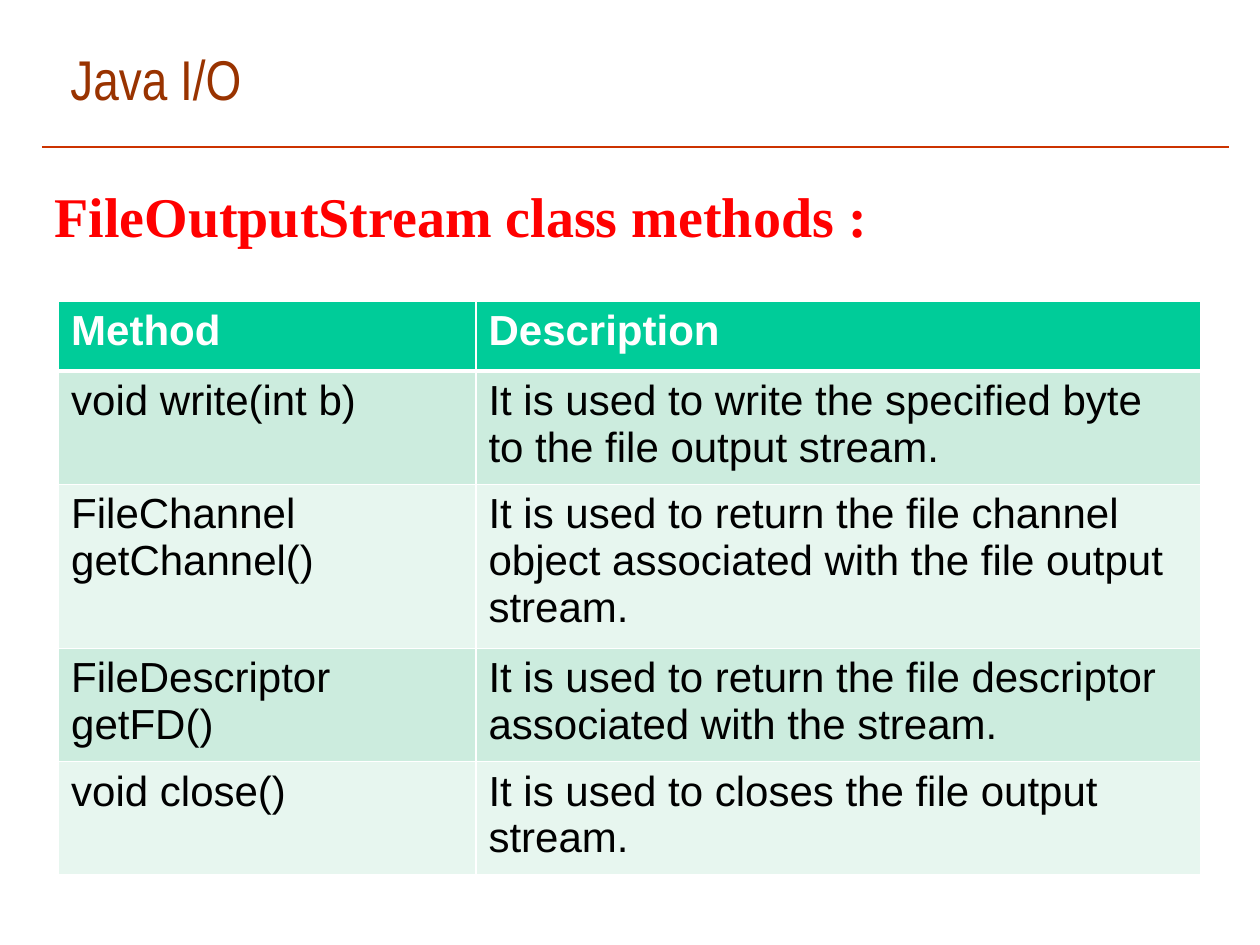
from typing import NamedTuple

from lxml.etree import SubElement
from pptx import Presentation
from pptx.dml.color import RGBColor
from pptx.enum.shapes import MSO_CONNECTOR
from pptx.enum.text import MSO_ANCHOR, MSO_AUTO_SIZE, PP_ALIGN
from pptx.oxml.ns import qn
from pptx.util import Pt

HUES = {
    "title": "993300", "rule": "CC3300", "head": "FF0000", "shade": "808080",
    "top": "00CC99", "dark": "CCECDE", "light": "E7F6EF",
    "white": "FFFFFF", "black": "000000",
}


class Row(NamedTuple):
    method: str
    about: str
    high: float


ROWS = [
    Row("Method", "Description", 40),
    Row("void write(int b)",
        "It is used to write the specified byte to the file output stream.", 55),
    Row("FileChannel getChannel()",
        "It is used to return the file channel object associated with "
        "the file output stream.", 71),
    Row("FileDescriptor getFD()",
        "It is used to return the file descriptor associated with the stream.", 63),
    Row("void close()", "It is used to closes the file output stream.", 58),
]
COLS = [238.5, 414.25]


def hue(name: str) -> RGBColor:
    return RGBColor.from_string(HUES[name])


def style(para, face: str, size: float, name: str, bold: bool = False) -> None:
    font = para.font
    font.name, font.size, font.bold = face, Pt(size), bold
    font.color.rgb = hue(name)


def place(shape, left: float, top: float, wide: float, high: float) -> None:
    shape.left, shape.top = Pt(left), Pt(top)
    shape.width, shape.height = Pt(wide), Pt(high)


def fit(frame) -> None:
    frame.word_wrap = True
    frame.auto_size = MSO_AUTO_SIZE.SHAPE_TO_FIT_TEXT
    frame.vertical_anchor = MSO_ANCHOR.TOP


def shade(run) -> None:
    """Give the letters of a run a drop shadow."""
    effects = SubElement(run._r.get_or_add_rPr(), qn("a:effectLst"))
    drop = SubElement(effects, qn("a:outerShdw"), dist="35921", dir="2700000")
    SubElement(drop, qn("a:srgbClr"), val=HUES["shade"])


def edge(cell, side: str, width: float) -> None:
    line = SubElement(cell._tc.get_or_add_tcPr(), qn(f"a:ln{side}"),
                      w=str(Pt(width)))
    fill = SubElement(line, qn("a:solidFill"))
    SubElement(fill, qn("a:srgbClr"), val=HUES["white"])


def draw_cell(cell, text: str, row: int) -> None:
    first = row == 0
    widths = {"L": 1, "R": 1, "T": 3 if row == 1 else 1, "B": 3 if first else 1}
    for side, width in widths.items():
        edge(cell, side, width)
    cell.fill.solid()
    cell.fill.fore_color.rgb = hue("top" if first else "dark" if row % 2 else "light")
    cell.text = text
    style(cell.text_frame.paragraphs[0], "Arial", 24,
          "white" if first else "black", first)


def main() -> None:
    deck = Presentation()
    deck.slide_width, deck.slide_height = Pt(720), Pt(540)
    slide = deck.slides.add_slide(deck.slide_layouts[5])
    shapes = slide.shapes

    # Title
    title = shapes.title
    place(title, 33, 21.6, 432, 46)
    title.text_frame.text = "Java I/O"
    fit(title.text_frame)
    para = title.text_frame.paragraphs[0]
    para.alignment = PP_ALIGN.LEFT
    style(para, "Arial Narrow", 32, "title")
    shade(para.runs[0])

    # Rule under the title
    rule = shapes.add_connector(MSO_CONNECTOR.STRAIGHT,
                                Pt(24), Pt(84), Pt(702), Pt(84))
    rule.line.color.rgb = hue("rule")
    rule.line.width = Pt(0.75)
    SubElement(rule._element.spPr, qn("a:effectLst"))

    # Heading
    head = shapes.add_textbox(Pt(24), Pt(100), Pt(618.5), Pt(46))
    head.text_frame.text = "FileOutputStream class methods :"
    fit(head.text_frame)
    style(head.text_frame.paragraphs[0], "Times New Roman", 32, "head", True)

    # Table of methods
    high = sum(row.high for row in ROWS)
    table = shapes.add_table(len(ROWS), len(COLS), Pt(33.5), Pt(172),
                             Pt(sum(COLS)), Pt(high)).table
    for col, wide in zip(table.columns, COLS):
        col.width = Pt(wide)
    for i, row in enumerate(ROWS):
        table.rows[i].height = Pt(row.high)
        for j, text in enumerate((row.method, row.about)):
            draw_cell(table.cell(i, j), text, i)

    deck.save("out.pptx")


if __name__ == "__main__":
    main()
